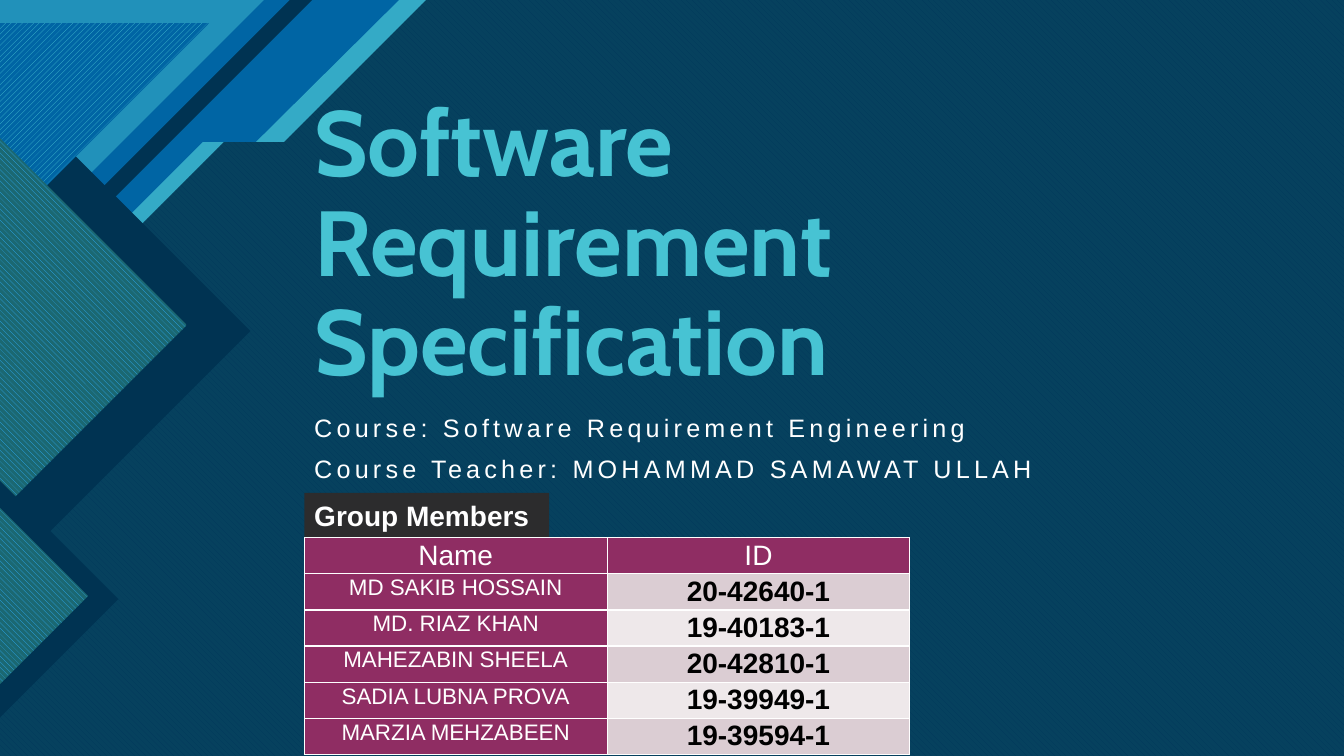
from dataclasses import dataclass

from lxml.etree import SubElement
from pptx import Presentation
from pptx.dml.color import RGBColor
from pptx.enum.dml import MSO_PATTERN
from pptx.enum.shapes import MSO_SHAPE
from pptx.enum.text import MSO_ANCHOR, PP_ALIGN
from pptx.oxml.ns import qn
from pptx.util import Cm, Pt

HUES = {
    "blue": "0065A4", "teal": "47C3D3", "navy": "003352", "sky": "2FAFFF",
    "pine": "1B6872", "white": "FFFFFF", "black": "000000", "coal": "2C2C2D",
    "plum": "8F2D63", "rose": "DBCDD3", "pale": "EEE8EA",
}
WIDE, HIGH = 33.87, 19.05
LEFT = 7.67
DOWN = MSO_PATTERN.WIDE_DOWNWARD_DIAGONAL
UP = MSO_PATTERN.WIDE_UPWARD_DIAGONAL


@dataclass
class Paint:
    hue: str
    alpha: int = 100
    weave: MSO_PATTERN | None = None
    back: str = ""


@dataclass
class Panel:
    points: list[tuple[float, float]]
    paint: Paint


@dataclass
class Style:
    size: int
    hue: str = "white"
    bold: bool = False
    face: str = "Arial"
    space: float = 1.0
    before: int = 0
    align: PP_ALIGN = PP_ALIGN.LEFT
    track: int = 0


def color(name: str) -> RGBColor:
    return RGBColor.from_string(HUES[name])


def coat(shape, paint: Paint) -> None:
    fill = shape.fill
    if paint.weave is not None:
        fill.patterned()
        fill.pattern = paint.weave
        fill.fore_color.rgb = color(paint.hue)
        fill.back_color.rgb = color(paint.back)
    else:
        fill.solid()
        fill.fore_color.rgb = color(paint.hue)
        if paint.alpha < 100:
            tint = shape._element.spPr.find(".//" + qn("a:srgbClr"))
            SubElement(tint, qn("a:alpha"), val=str(paint.alpha * 1000))
    shape.line.fill.background()
    shape.shadow.inherit = False


def draw(slide, panel: Panel) -> None:
    first, *rest = [(Cm(x), Cm(y)) for x, y in panel.points]
    pen = slide.shapes.build_freeform(*first)
    pen.add_line_segments(rest, close=True)
    coat(pen.convert_to_shape(), panel.paint)


def write(frame, lines: list[str], style: Style) -> None:
    frame.word_wrap = True
    for spot, line in enumerate(lines):
        para = frame.add_paragraph() if spot else frame.paragraphs[0]
        para.text = line
        para.alignment = style.align
        para.line_spacing = style.space
        para.space_before = Pt(style.before)
        font = para.font
        font.name, font.size, font.bold = style.face, Pt(style.size), style.bold
        font.color.rgb = color(style.hue)
        if style.track:
            para._p.pPr.get_or_add_defRPr().set("spc", str(style.track))


def edge(cell) -> None:
    props = cell._tc.get_or_add_tcPr()
    for spot, side in enumerate(("lnL", "lnR", "lnT", "lnB")):
        line = SubElement(props, qn("a:" + side), w=str(Pt(1)))
        fill = SubElement(line, qn("a:solidFill"))
        SubElement(fill, qn("a:srgbClr"), val=HUES["white"])
        props.remove(line)
        props.insert(spot, line)


def corner(size: float, paint: Paint) -> Panel:
    return Panel([(0, 0), (size, 0), (0, size)], paint)


def wedge(top: float, tip: float, paint: Paint) -> Panel:
    return Panel([(0, top), (tip, top + tip), (0, top + 2 * tip)], paint)


def roster(slide, rows: list[tuple[str, str]]) -> None:
    tall = 0.91
    grid = slide.shapes.add_table(len(rows), 2, Cm(LEFT), Cm(13.55),
                                  Cm(15.26), Cm(tall * len(rows))).table
    for r, row in enumerate(rows):
        grid.rows[r].height = Cm(tall)
        for c, text in enumerate(row):
            cell = grid.cell(r, c)
            cell.margin_left = cell.margin_right = Cm(0.18)
            cell.margin_top = cell.margin_bottom = 0
            body = r > 0 and c == 1
            band = "rose" if r % 2 else "pale"
            cell.fill.solid()
            cell.fill.fore_color.rgb = color(band if body else "plum")
            size = 16 if r and not c else 20
            write(cell.text_frame, [text],
                  Style(size, "black" if body else "white", body,
                        space=1.07, align=PP_ALIGN.CENTER))
            edge(cell)


def main() -> None:
    deck = Presentation()
    deck.slide_width, deck.slide_height = Cm(WIDE), Cm(HIGH)
    slide = deck.slides.add_slide(deck.slide_layouts[6])
    back = slide.background.fill
    back.solid()
    back.fore_color.rgb = color("blue")

    # Backdrop and corner art
    field = [(10.74, 0), (WIDE, 0), (WIDE, HIGH), (0, HIGH),
             (0, 9.22), (5.64, 3.58), (7.16, 3.58)]
    rim = [(10.06, 0), (WIDE, 0), (WIDE, HIGH), (0, HIGH),
           (0, 8.69), (5.11, 3.58), (6.45, 3.58)]
    green = Paint("sky", weave=DOWN, back="pine")
    panels = [
        Panel(rim, Paint("teal", 74)),
        Panel(field, Paint("blue", weave=DOWN, back="teal")),
        corner(7.87, Paint("navy")),
        corner(7.3, Paint("blue")),
        corner(6.65, Paint("teal", 48)),
        Panel(field, Paint("navy", 90)),
        wedge(2.03, 6.31, Paint("navy")),
        Panel([(0, 0.58), (5.28, 0.58), (0, 5.86)],
              Paint("teal", weave=UP, back="blue")),
        wedge(3.48, 4.71, green),
        wedge(12.12, 2.98, Paint("navy")),
        wedge(12.8, 2.22, green),
    ]
    for panel in panels:
        draw(slide, panel)

    # Title and course lines
    title = slide.shapes.add_textbox(Cm(LEFT), Cm(6.65), Cm(19.66), Cm(3.45))
    title.text_frame.vertical_anchor = MSO_ANCHOR.BOTTOM
    write(title.text_frame, ["Software Requirement Specification"],
          Style(66, "teal", True, "Cabin", 0.9))
    course = slide.shapes.add_textbox(Cm(LEFT), Cm(10.34), Cm(19.66), Cm(2.41))
    write(course.text_frame,
          ["Course: Software Requirement Engineering",
           "Course Teacher: MOHAMMAD SAMAWAT ULLAH"],
          Style(18, space=0.9, before=10, track=300))

    # Group members
    label = slide.shapes.add_shape(MSO_SHAPE.RECTANGLE, Cm(LEFT), Cm(12.42),
                                   Cm(6.17), Cm(1.11))
    coat(label, Paint("coal"))
    write(label.text_frame, ["Group Members"], Style(20, bold=True))
    roster(slide, [
        ("Name", "ID"),
        ("MD SAKIB HOSSAIN", "20-42640-1"),
        ("MD. RIAZ KHAN", "19-40183-1"),
        ("MAHEZABIN SHEELA", "20-42810-1"),
        ("SADIA LUBNA PROVA", "19-39949-1"),
        ("MARZIA MEHZABEEN", "19-39594-1"),
    ])
    deck.save("out.pptx")


if __name__ == "__main__":
    main()
